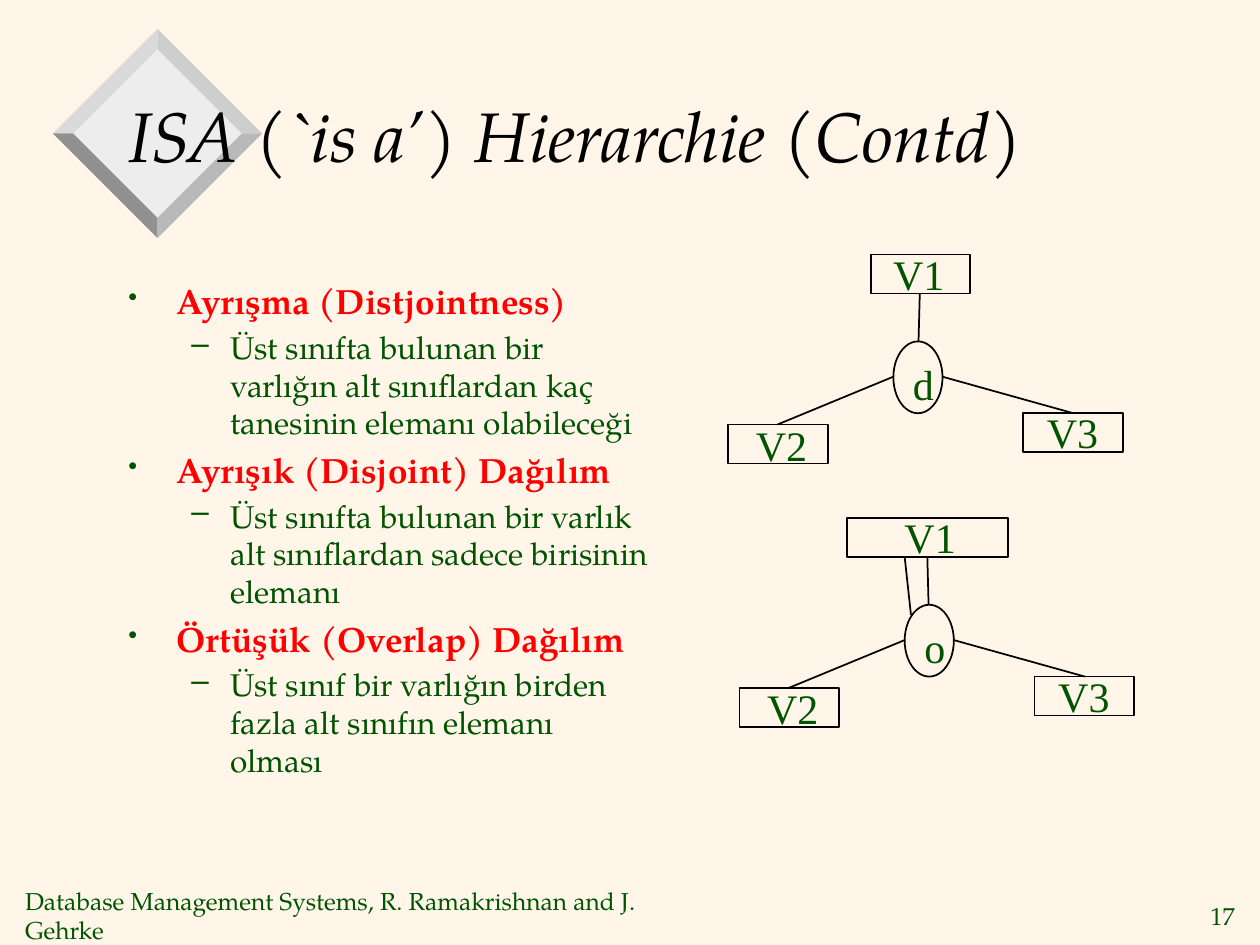
import pptx
import pptx.util
import pptx.dml.color
import pptx.enum.shapes
import pptx.enum.text
import pptx.oxml.ns
import lxml.etree

INCH = pptx.util.Inches
SHAPE = pptx.enum.shapes.MSO_SHAPE
ALIGN = pptx.enum.text.PP_ALIGN
ANCHOR = pptx.enum.text.MSO_ANCHOR
SERIF, TIMES = "TeX Gyre Pagella", "Times New Roman"
GREEN, RED, BLACK = "005400", "FF0000", "000000"


def rgb(value):
    return pptx.dml.color.RGBColor.from_string(value)


def add_run(p, text, size, font=SERIF, color=GREEN, bold=False, italic=False):
    r = p.add_run()
    r.text = text
    r.font.size, r.font.name = pptx.util.Pt(size), font
    r.font.bold, r.font.italic = bold, italic
    r.font.color.rgb = rgb(color)


prs = pptx.Presentation()
prs.slide_width, prs.slide_height = INCH(10), INCH(7.5)
s = prs.slides.add_slide(prs.slide_layouts[6])
s.background.fill.solid()
s.background.fill.fore_color.rgb = rgb("FFF6E9")

# Bevelled diamond: a face and four edges around one centre
cx, cy, inner, outer = 1.25, 1.06, 0.67, 0.83
facets = [("EDEDED", [(0, -inner), (-inner, 0), (0, inner), (inner, 0)])]
for color, dx, dy in [("CECECE", 1, -1), ("DADADA", -1, -1),
                      ("B9B9B9", 1, 1), ("919191", -1, 1)]:
    facets.append((color, [(0, dy * inner), (0, dy * outer),
                           (dx * outer, 0), (dx * inner, 0)]))
for color, offsets in facets:
    points = [(INCH(cx + x), INCH(cy + y)) for x, y in offsets]
    builder = s.shapes.build_freeform(*points[0])
    builder.add_line_segments(points[1:], close=True)
    sp = builder.convert_to_shape()
    sp.shadow.inherit = False
    sp.fill.solid()
    sp.fill.fore_color.rgb = rgb(color)
    sp.line.fill.background()

# Footer, page number and title
for text, box, size, color, align, wrap, italic in [
    ("Database Management Systems, R. Ramakrishnan and J. Gehrke",
     (0.1, 7.1, 5.72, 0.33), 14, GREEN, ALIGN.LEFT, False, False),
    ("17", (9.47, 7.1, 0.43, 0.33), 14, GREEN, ALIGN.RIGHT, False, False),
    ("ISA (`is a’) Hierarchie (Contd)",
     (0.92, 0.46, 8.5, 1.21), 40, BLACK, ALIGN.LEFT, True, True),
]:
    tf = s.shapes.add_textbox(*map(INCH, box)).text_frame
    tf.word_wrap, tf.vertical_anchor = wrap, ANCHOR.MIDDLE
    p = tf.paragraphs[0]
    p.alignment = align
    add_run(p, text, size, color=color, italic=italic)

# Bulleted definitions: a red term and its explanation
tf = s.shapes.add_textbox(INCH(0.92), INCH(2.17), INCH(4.32), INCH(4.46)).text_frame
tf.word_wrap = True
definitions = [
    ("Ayrışma (Distjointness)",
     "Üst sınıfta bulunan bir varlığın alt sınıflardan kaç tanesinin elemanı olabileceği"),
    ("Ayrışık (Disjoint) Dağılım",
     "Üst sınıfta bulunan bir varlık alt sınıflardan sadece birisinin elemanı"),
    ("Örtüşük (Overlap) Dağılım",
     "Üst sınıf bir varlığın birden fazla alt sınıfın elemanı olması"),
]
styles = [(20, RED, 0.38, 0.38, "•", 75), (18, GREEN, 0.81, 0.31, "–", 100)]
p = None
for definition in definitions:
    for level, text in enumerate(definition):
        size, color, left, hang, bullet, bullet_size = styles[level]
        p = tf.add_paragraph() if p else tf.paragraphs[0]
        p.level = level
        p.space_before = pptx.util.Pt(size * 0.2)
        pPr = p._p.get_or_add_pPr()
        pPr.set("marL", str(INCH(left)))
        pPr.set("indent", str(-INCH(hang)))
        qn = pptx.oxml.ns.qn
        bu = lxml.etree.SubElement(pPr, qn("a:buClr"))
        lxml.etree.SubElement(bu, qn("a:srgbClr"), val=GREEN)
        lxml.etree.SubElement(pPr, qn("a:buSzPct"), val=str(bullet_size * 1000))
        lxml.etree.SubElement(pPr, qn("a:buChar"), char=bullet)
        add_run(p, text, size, color=color, bold=level == 0)

# Two hierarchies of the same form: the second is shifted, with a wider root
box_w, box_h = 0.79, 0.31
for letter, dx, dy, root_x, root_w, links in [
    ("d", 0, 0, 6.91, box_w, [(7.3, 2.33, 7.29, 2.71)]),
    ("o", 0.09, 2.09, 6.63, 1.28,
     [(7.27, 2.33, 7.28, 2.71), (7.09, 2.33, 7.14, 2.79)]),
]:
    for kind, x, y, w, h, text in [
        (SHAPE.RECTANGLE, root_x, 2.02, root_w, box_h, ""),
        (SHAPE.RECTANGLE, 5.78, 3.37, box_w, box_h, ""),
        (SHAPE.RECTANGLE, 8.12, 3.28, box_w, box_h, ""),
        (SHAPE.OVAL, 7.09, 2.71, 0.39, 0.57, letter),
    ]:
        sp = s.shapes.add_shape(kind, INCH(x + dx), INCH(y + dy), INCH(w), INCH(h))
        sp.shadow.inherit = False
        sp.fill.background()
        sp.line.color.rgb, sp.line.width = rgb(BLACK), pptx.util.Pt(1)
        if text:
            tf = sp.text_frame
            tf.vertical_anchor = ANCHOR.TOP
            tf.paragraphs[0].alignment = ALIGN.LEFT
            add_run(tf.paragraphs[0], text, 24, TIMES)

    for x1, y1, x2, y2 in links + [(7.09, 2.99, 6.17, 3.37), (7.48, 2.99, 8.52, 3.28)]:
        line = s.shapes.add_connector(
            pptx.enum.shapes.MSO_CONNECTOR.STRAIGHT,
            INCH(x1 + dx), INCH(y1 + dy), INCH(x2 + dx), INCH(y2 + dy))
        line.line.color.rgb, line.line.width = rgb(BLACK), pptx.util.Pt(1)
        lxml.etree.SubElement(line._element.spPr, pptx.oxml.ns.qn("a:effectLst"))

    for text, x, y in [("V1", 6.99, 1.92), ("V2", 5.9, 3.28), ("V3", 8.21, 3.18)]:
        tf = s.shapes.add_textbox(INCH(x + dx), INCH(y + dy), INCH(0.61), INCH(0.5)).text_frame
        tf.word_wrap = False
        add_run(tf.paragraphs[0], text, 24, TIMES)

prs.save("out.pptx")
